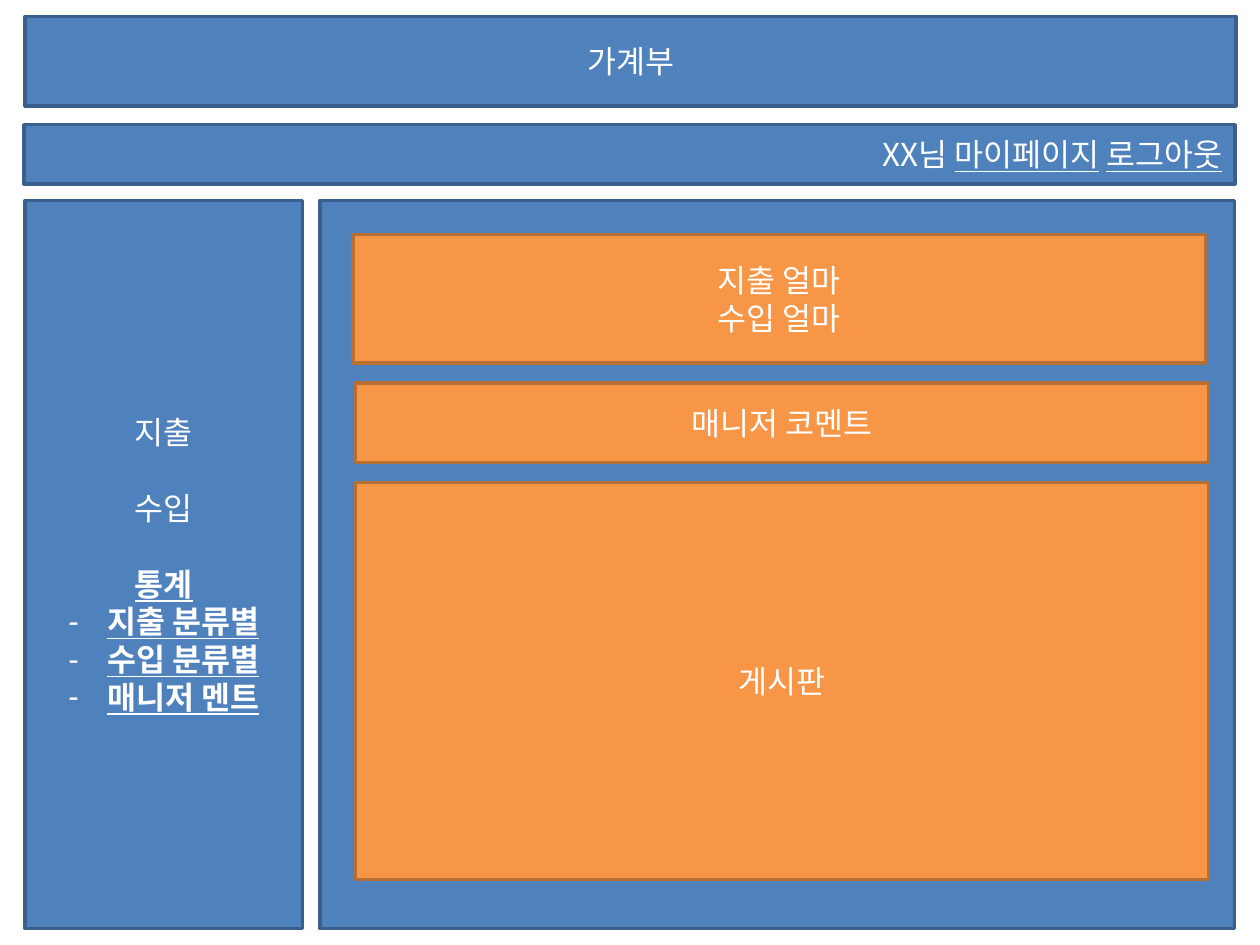
from lxml import etree
from pptx import Presentation
from pptx.dml.color import RGBColor
from pptx.enum.shapes import MSO_SHAPE
from pptx.enum.text import MSO_ANCHOR, MSO_AUTO_SIZE, PP_ALIGN
from pptx.oxml.ns import qn
from pptx.util import Inches, Pt

RECTANGLE = MSO_SHAPE.RECTANGLE
MIDDLE = MSO_ANCHOR.MIDDLE
NO_AUTOFIT = MSO_AUTO_SIZE.NONE
CENTER, RIGHT = PP_ALIGN.CENTER, PP_ALIGN.RIGHT

FONT = "Noto Sans CJK KR"
FONT_SIZE = 18
SECTION_GAP = 21.7
BULLET_INDENT = 0.31
COLORS = {
    "blue": "4F81BD", "blue line": "3A5F8C",
    "orange": "F79646", "orange line": "B76F34",
    "text": "FFFFFF",
}

HEADER = "가계부"
USER_BAR = [("XX님 ", False), ("마이페이지", True), (" ", False), ("로그아웃", True)]
# text, emphasised, bulleted, space before in points
MENU = [
    ("지출", False, False, 0),
    ("수입", False, False, SECTION_GAP),
    ("통계", True, False, SECTION_GAP),
    ("지출 분류별", True, True, 0),
    ("수입 분류별", True, True, 0),
    ("매니저 멘트", True, True, 0),
]
# text, left, top, height
CARD_WIDTH = 6.77
CARDS = [
    ("지출 얼마\n수입 얼마", 2.8, 1.86, 1.02),
    ("매니저 코멘트", 2.82, 3.04, 0.63),
    ("게시판", 2.82, 3.83, 3.15),
]
LEFT, WIDTH = 0.2, 9.61
CONTENT_TOP, CONTENT_HEIGHT = 1.59, 5.78


def color(name):
    return RGBColor.from_string(COLORS[name])


def style_box(shape, box, fill):
    shape.left, shape.top, shape.width, shape.height = map(Inches, box)
    shape.fill.solid()
    shape.fill.fore_color.rgb = color(fill)
    shape.line.color.rgb = color(fill + " line")
    shape.line.width = Pt(2)
    frame = shape.text_frame
    frame.word_wrap = True
    frame.auto_size = NO_AUTOFIT
    frame.vertical_anchor = MIDDLE
    return shape


def add_box(slide, box, fill):
    shape = slide.shapes.add_shape(RECTANGLE, *map(Inches, box))
    shape.shadow.inherit = False
    return style_box(shape, box, fill)


def format_text(shape, alignment=CENTER):
    for paragraph in shape.text_frame.paragraphs:
        paragraph.alignment = alignment
        for run in paragraph.runs:
            run.font.size = Pt(FONT_SIZE)
            run.font.name = FONT
            run.font.color.rgb = color("text")
            east_asian = etree.SubElement(run.font._element, qn("a:ea"))
            east_asian.set("typeface", FONT)


def set_bullet(paragraph, bulleted):
    indent = Inches(BULLET_INDENT) if bulleted else 0
    properties = paragraph._p.get_or_add_pPr()
    properties.set("marL", str(indent))
    properties.set("indent", str(-indent))
    if bulleted:
        etree.SubElement(properties, qn("a:buFontTx"))
        etree.SubElement(properties, qn("a:buChar")).set("char", "-")
    else:
        etree.SubElement(properties, qn("a:buNone"))


def fill_menu(shape):
    frame = shape.text_frame
    frame.text = "\n".join(item[0] for item in MENU)
    for paragraph, (_, emphasised, bulleted, gap) in zip(frame.paragraphs, MENU):
        set_bullet(paragraph, bulleted)
        paragraph.space_before = Pt(gap)
        for run in paragraph.runs:
            run.font.bold = emphasised
            run.font.underline = emphasised
    format_text(shape)


def main():
    presentation = Presentation()
    presentation.slide_width, presentation.slide_height = Inches(10), Inches(7.5)
    slide = presentation.slides.add_slide(presentation.slide_layouts[1])

    header = style_box(slide.shapes.title, (LEFT, 0.13, WIDTH, 0.71), "blue")
    header.text_frame.text = HEADER
    format_text(header)

    menu = style_box(slide.placeholders[1],
                     (LEFT, CONTENT_TOP, 2.2, CONTENT_HEIGHT), "blue")
    fill_menu(menu)

    user_bar = add_box(slide, (0.19, 0.99, WIDTH, 0.47), "blue")
    paragraph = user_bar.text_frame.paragraphs[0]
    for text, underlined in USER_BAR:
        run = paragraph.add_run()
        run.text = text
        run.font.underline = underlined
    format_text(user_bar, RIGHT)

    add_box(slide, (2.54, CONTENT_TOP, 7.26, CONTENT_HEIGHT), "blue")
    for text, left, top, height in CARDS:
        card = add_box(slide, (left, top, CARD_WIDTH, height), "orange")
        card.text_frame.text = text
        format_text(card)

    presentation.save("out.pptx")


if __name__ == "__main__":
    main()
